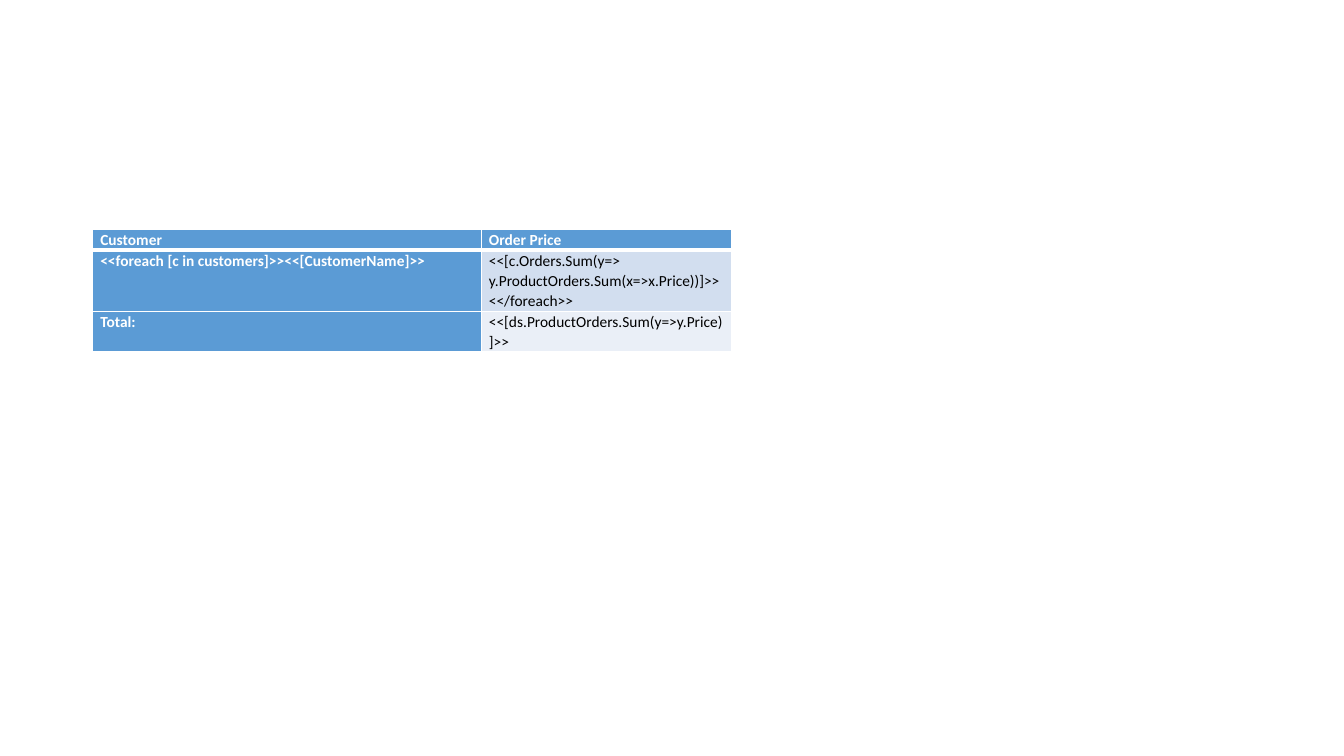
from lxml.etree import SubElement
from pptx import Presentation
from pptx.dml.color import RGBColor
from pptx.oxml.ns import qn
from pptx.util import Pt

# Content
ORDERS = [
    ("Customer", "Order Price"),
    ("<<foreach [c in customers]>><<[CustomerName]>>",
     "<<[c.Orders.Sum(y=> y.ProductOrders.Sum(x=>x.Price))]>><</foreach>>"),
    ("Total:", "<<[ds.ProductOrders.Sum(y=>y.Price)]>>"),
]

# Layout in points
LEFT, TOP = 66.24, 164.16
COLUMN_WIDTHS = (277.6, 178.4)
LINE_HEIGHT = 14.4
LINES_PER_ROW = (1, 3, 2)
SIDE_MARGIN = 5.4

# Colours
WHITE, BLACK, BLUE = "FFFFFF", "000000", "5B9BD5"
BANDS = ("EAEFF7", "D2DEEF")


def rgb(hex_code):
    return RGBColor.from_string(hex_code)


def add_border(cell, side, width):
    line = SubElement(cell._tc.get_or_add_tcPr(), qn(f"a:ln{side}"), w=str(Pt(width)))
    fill = SubElement(line, qn("a:solidFill"))
    SubElement(fill, qn("a:srgbClr"), val=WHITE)


def format_cell(cell, text, row, column):
    is_heading = row == 0 or column == 0

    # White rules, heavier under the header row
    widths = {"L": 1, "R": 1, "T": 3 if row == 1 else 1, "B": 3 if row == 0 else 1}
    for side, width in widths.items():
        add_border(cell, side, width)
    cell.fill.solid()
    cell.fill.fore_color.rgb = rgb(BLUE if is_heading else BANDS[row % 2])

    # Text
    cell.margin_left = cell.margin_right = Pt(SIDE_MARGIN)
    cell.margin_top = cell.margin_bottom = 0
    cell.text_frame.text = text
    paragraph = cell.text_frame.paragraphs[0]
    paragraph.line_spacing = 1.07
    font = paragraph.runs[0].font
    font.name, font.size, font.bold = "Calibri", Pt(11), is_heading
    font.color.rgb = rgb(WHITE if is_heading else BLACK)


def main():
    prs = Presentation()
    prs.slide_width, prs.slide_height = Pt(960), Pt(540)
    slide = prs.slides.add_slide(prs.slide_layouts[6])

    # Order table
    row_heights = [LINE_HEIGHT * lines for lines in LINES_PER_ROW]
    order_table = slide.shapes.add_table(
        len(ORDERS), len(COLUMN_WIDTHS), Pt(LEFT), Pt(TOP),
        Pt(sum(COLUMN_WIDTHS)), Pt(sum(row_heights))).table
    order_table.first_col = True
    for column, width in zip(order_table.columns, COLUMN_WIDTHS):
        column.width = Pt(width)
    for row, height in zip(order_table.rows, row_heights):
        row.height = Pt(height)
    for r, texts in enumerate(ORDERS):
        for c, text in enumerate(texts):
            format_cell(order_table.cell(r, c), text, r, c)

    prs.save("out.pptx")


if __name__ == "__main__":
    main()
